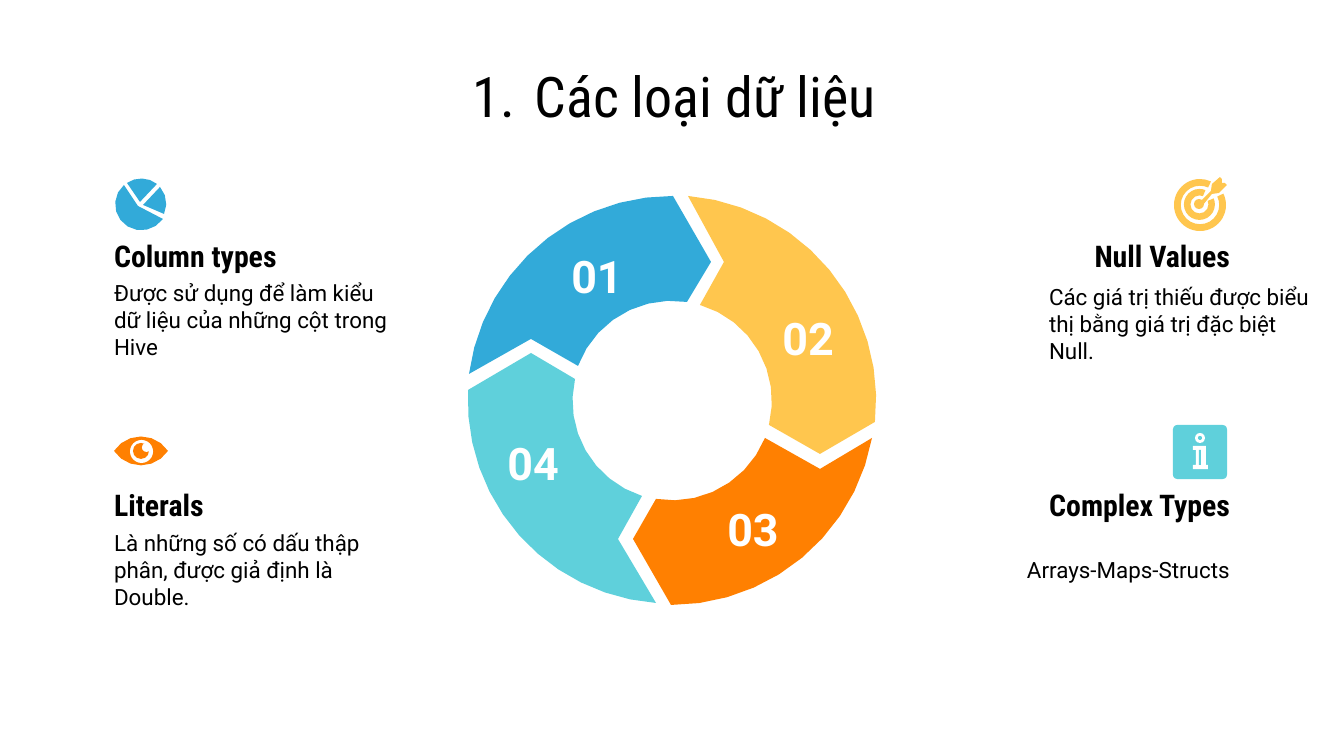
"""Build the slide on data types: a four-part cycle ring with a captioned icon for each part."""
import dataclasses
import math

import pptx
import pptx.dml.color
import pptx.enum.shapes
import pptx.enum.text
import pptx.oxml
import pptx.oxml.ns
import pptx.util

SCALE = 914400 / 134.4
ALIGN = pptx.enum.text.PP_ALIGN
SHAPE = pptx.enum.shapes.MSO_SHAPE


@dataclasses.dataclass(frozen=True)
class Theme:
    black: str = "000000"
    white: str = "FFFFFF"
    blue: str = "32AAD9"
    yellow: str = "FFC64E"
    orange: str = "FF8001"
    teal: str = "5FD0DB"
    heading_font: str = "Roboto Condensed"
    body_font: str = "Roboto"
    title_size: int = 30
    number_size: int = 24
    heading_size: int = 16
    body_size: int = 12


theme = Theme()


def write(box, text, *, at, size, font, color=theme.black, bold=False, align=ALIGN.LEFT, numbered=False):
    box.left, box.top, box.width, box.height = (round(value * SCALE) for value in at)
    frame = box.text_frame
    frame.word_wrap = True
    frame.auto_size = pptx.enum.text.MSO_AUTO_SIZE.NONE
    frame.vertical_anchor = pptx.enum.text.MSO_ANCHOR.MIDDLE
    inset = round(13 * SCALE)
    frame.margin_left = frame.margin_top = frame.margin_right = frame.margin_bottom = inset
    para = frame.paragraphs[0]
    para.alignment = align
    if numbered:
        properties = para._p.get_or_add_pPr()
        properties.set("marL", str(round(67 * SCALE)))
        properties.set("indent", str(round(-62 * SCALE)))
        namespace = pptx.oxml.ns.nsdecls("a")
        for bullet in (
            f'<a:buClr {namespace}><a:srgbClr val="{color}"/></a:buClr>',
            f'<a:buFont {namespace} typeface="{font}"/>',
            f'<a:buAutoNum {namespace} type="arabicPeriod"/>',
        ):
            properties.append(pptx.oxml.parse_xml(bullet))
    span = para.add_run()
    span.text = text
    span.font.size = pptx.util.Pt(size)
    span.font.name = font
    span.font.bold = bold
    span.font.color.rgb = pptx.dml.color.RGBColor.from_string(color)


def arc(center, start, end, turn=1):
    first, last = (math.atan2(y - center[1], x - center[0]) for x, y in (start, end))
    radius, final_radius = math.dist(center, start), math.dist(center, end)
    sweep = (turn * (last - first)) % math.tau
    steps = max(2, math.ceil(sweep * math.sqrt(radius) / 2))
    points = []
    for step in range(steps + 1):
        part = step / steps
        reach = radius + (final_radius - radius) * part
        angle = first + turn * sweep * part
        points.append((center[0] + reach * math.cos(angle), center[1] + reach * math.sin(angle)))
    return points


deck = pptx.Presentation()
deck.slide_width, deck.slide_height = round(1344 * SCALE), round(756 * SCALE)
page = deck.slides.add_slide(deck.slide_layouts[5])
write(page.shapes.title, "Các loại dữ liệu", at=(67, 60, 1210, 71), size=theme.title_size,
      font=theme.heading_font, align=ALIGN.CENTER, numbered=True)

hub = (672, 401)
segments = [
    (theme.blue, (469, 374), (673, 196), (711, 262), (687, 302), (578, 366), (531, 339)),
    (theme.yellow, (688, 196), (875, 422), (820, 454), (769, 425), (700, 305), (724, 262)),
    (theme.orange, (872, 438), (671, 605), (633, 539), (656, 499), (765, 438), (820, 469)),
    (theme.teal, (656, 603), (468, 390), (531, 353), (575, 379), (642, 496), (618, 539)),
]
outlines = []
for color, outer_tail, outer_head, tip, inner_head, inner_tail, notch in segments:
    points = arc(hub, outer_tail, outer_head) + [tip] + arc(hub, inner_head, inner_tail, -1) + [notch]
    outlines.append((color, points))

pie = (141, 204)
for start, end, apex in (
    ((163, 219), (124, 185), (138, 206)),
    ((127, 183), (157, 184), (140, 202)),
    ((160, 187), (164, 214), (143, 205)),
):
    outlines.append((theme.blue, arc(pie, start, end) + [apex]))

eye_left, eye_right = (114, 451), (168, 451)
lens = arc((141, 469), eye_left, eye_right) + arc((141, 433), eye_right, eye_left)
dart = [(1220, 177), (1212, 184), (1211, 191), (1200, 202), (1203, 205), (1212, 194),
        (1219, 193), (1227, 185), (1225, 183), (1222, 183), (1222, 179)]
letter = [(1193, 446), (1206, 446), (1206, 465), (1208, 465), (1208, 469),
          (1193, 469), (1193, 465), (1196, 465), (1196, 450), (1193, 450)]
outlines += [(theme.orange, lens), (theme.yellow, dart)]

presets = [
    (SHAPE.BLOCK_ARC, theme.yellow, (1174, 179, 52, 52), (334 * 0.6, 295 * 0.6, 0.13)),
    (SHAPE.BLOCK_ARC, theme.yellow, (1184, 189, 31, 31), (337 * 0.6, 293 * 0.6, 0.21)),
    (SHAPE.OVAL, theme.yellow, (1194, 199, 10, 10), ()),
    (SHAPE.OVAL, theme.white, (130, 440, 23, 23), ()),
    (SHAPE.OVAL, theme.orange, (133, 443, 16, 16), ()),
    (SHAPE.OVAL, theme.white, (142, 443, 9, 9), ()),
    (SHAPE.ROUNDED_RECTANGLE, theme.teal, (1173, 425, 54, 54), (0.08,)),
    (SHAPE.OVAL, theme.white, (1195, 433, 10, 10), ()),
    (SHAPE.OVAL, theme.teal, (1198, 436, 4, 4), ()),
]

pieces = []
for color, points in outlines:
    corners = [(x * SCALE, y * SCALE) for x, y in points]
    builder = page.shapes.build_freeform(*corners[0], scale=1.0)
    builder.add_line_segments(corners[1:], close=True)
    pieces.append((builder.convert_to_shape(), color))
for kind, color, at, adjustments in presets:
    piece = page.shapes.add_shape(kind, *(round(value * SCALE) for value in at))
    for index, value in enumerate(adjustments):
        piece.adjustments[index] = value
    pieces.append((piece, color))
corners = [(x * SCALE, y * SCALE) for x, y in letter]
builder = page.shapes.build_freeform(*corners[0], scale=1.0)
builder.add_line_segments(corners[1:], close=True)
pieces.append((builder.convert_to_shape(), theme.white))
stem = page.shapes.add_shape(SHAPE.RECTANGLE, *(round(value * SCALE) for value in (1199, 450, 2, 15)))
pieces.append((stem, theme.teal))

for piece, color in pieces:
    piece.shadow.inherit = False
    piece.fill.solid()
    piece.fill.fore_color.rgb = pptx.dml.color.RGBColor.from_string(color)
    piece.line.fill.background()

for number, left, top in (("01", 552, 255), ("02", 763, 317), ("03", 708, 508), ("04", 488, 442)):
    write(page.shapes.add_textbox(0, 0, 0, 0), number, at=(left, top, 90, 42), size=theme.number_size,
          font=theme.body_font, color=theme.white, bold=True, align=ALIGN.CENTER)

captions = [
    ("Column types", 101, 235, ALIGN.LEFT, "Được sử dụng để làm kiểu dữ liệu của những cột trong Hive",
     (101, 277, 308, 85), ALIGN.LEFT),
    ("Null Values", 955, 235, ALIGN.RIGHT, "Các giá trị thiếu được biểu thị bằng giá trị đặc biệt Null.",
     (1036, 281, 293, 85), ALIGN.LEFT),
    ("Literals", 101, 484, ALIGN.LEFT, "Là những số có dấu thập phân, được giả định là Double.",
     (101, 527, 308, 85), ALIGN.LEFT),
    ("Complex Types", 955, 484, ALIGN.RIGHT, "Arrays-Maps-Structs",
     (950, 527, 293, 85), ALIGN.RIGHT),
]
for heading, left, top, heading_align, body, body_at, body_align in captions:
    write(page.shapes.add_textbox(0, 0, 0, 0), heading, at=(left, top, 288, 42), size=theme.heading_size,
          font=theme.heading_font, bold=True, align=heading_align)
    write(page.shapes.add_textbox(0, 0, 0, 0), body, at=body_at, size=theme.body_size,
          font=theme.body_font, align=body_align)

deck.save("out.pptx")
